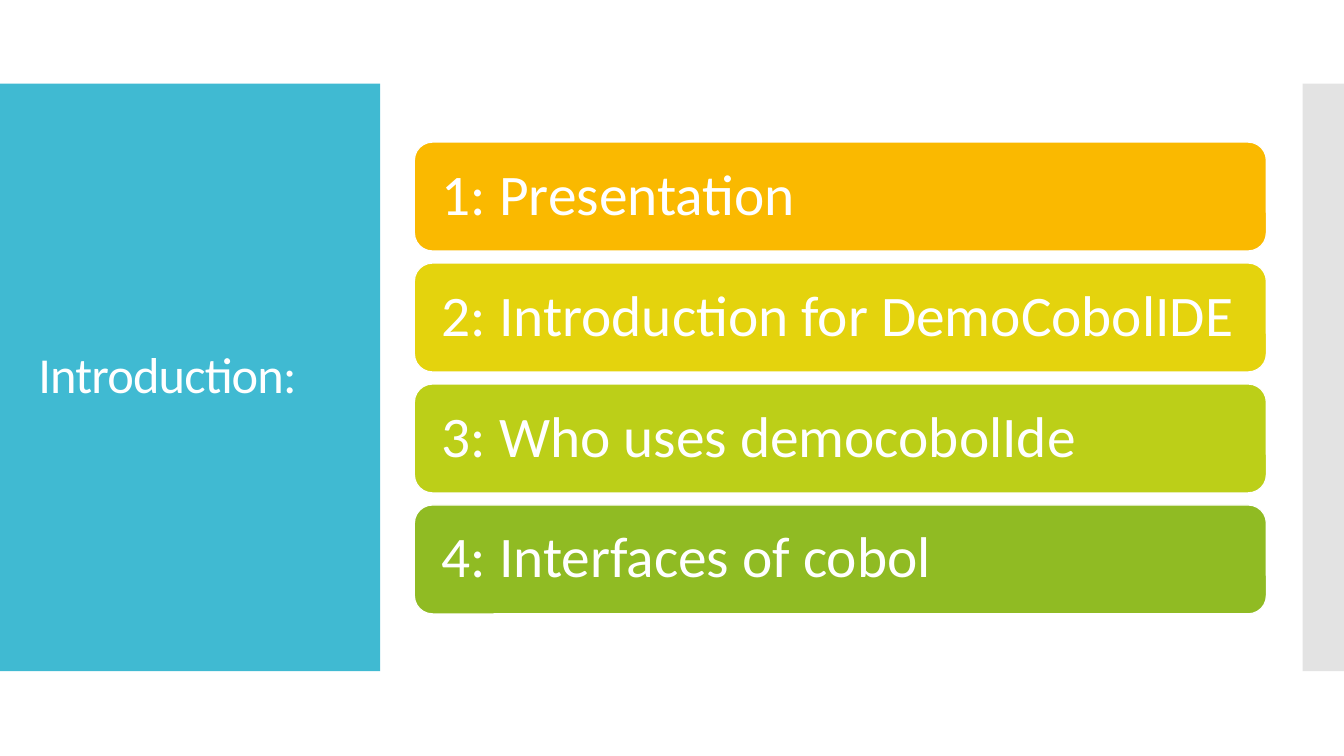
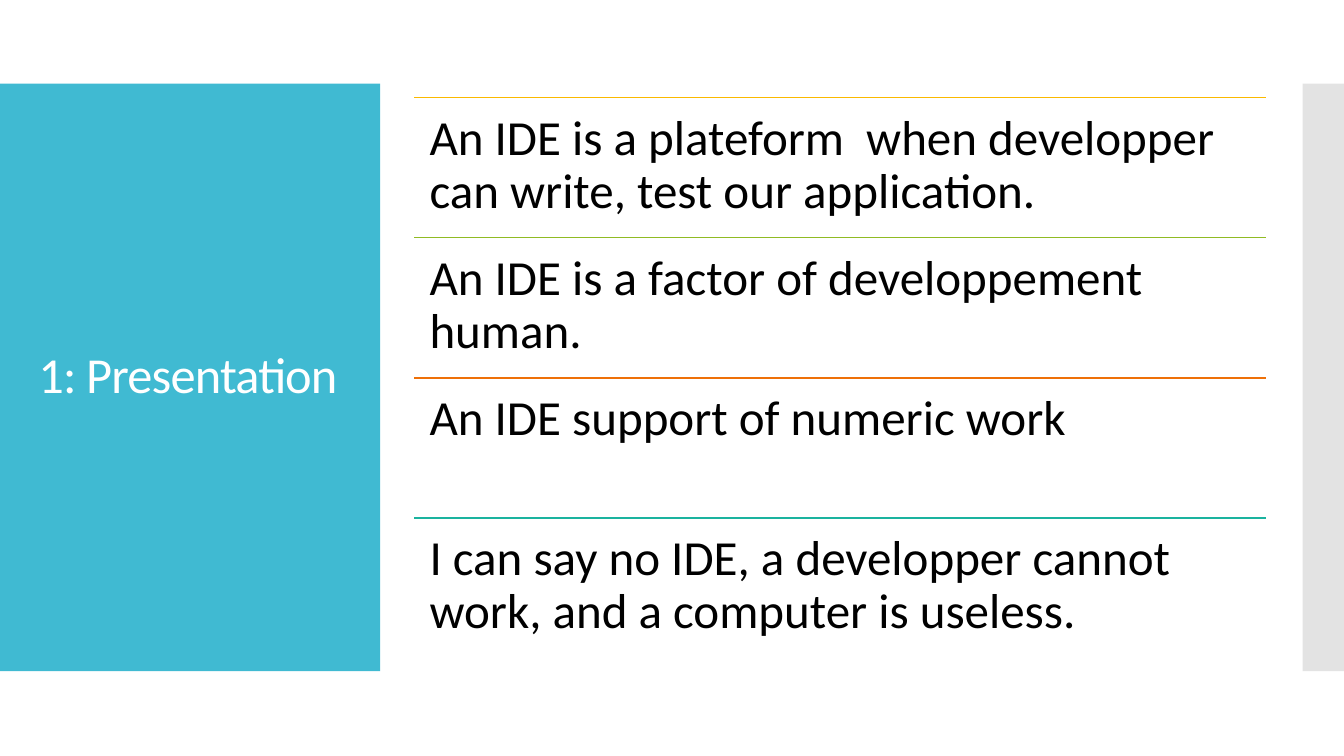
import dataclasses

import lxml.etree
import pptx
import pptx.dml.color
import pptx.enum.shapes
import pptx.enum.text
import pptx.oxml.ns
import pptx.presentation
import pptx.shapes.autoshape
import pptx.shapes.base
import pptx.slide
import pptx.text.text
import pptx.util
from pptx.util import Inches

FONT = "Calibri"
WHITE, BLACK = "FFFFFF", "000000"
TEAL, GRAY = "40BAD2", "C8C8C8"
AMBER, YELLOW, LIME, GREEN = "FAB900", "E4D30D", "BCCF18", "90BB23"
ORANGE, SEA_GREEN = "EE7008", "1AB39F"

SLIDE_WIDTH, SLIDE_HEIGHT = 13.33, 7.5
BAND_TOP, BAND_HEIGHT = 0.83, 5.83
CONTENT_LEFT, CONTENT_WIDTH = 4.11, 8.45
BAR_HEIGHT, BAR_PITCH = 1.08, 1.2
ROW_TOP, ROW_HEIGHT = 0.97, 1.39
LINE_WIDTH = pptx.util.Pt(0.85)


@dataclasses.dataclass
class Band:
    left: float
    width: float
    color: str
    opacity: int = 100


@dataclasses.dataclass
class Item:
    text: str
    color: str


BANDS = [
    Band(0, 3.77, TEAL),
    Band(12.92, SLIDE_WIDTH - 12.92, GRAY, opacity=50),
]

AGENDA = [
    Item("1: Presentation", AMBER),
    Item("2: Introduction for DemoCobolIDE", YELLOW),
    Item("3: Who uses democobolIde", LIME),
    Item("4: Interfaces of cobol", GREEN),
]

# Non-breaking spaces keep some words together on one line.
STATEMENTS = [
    Item("An IDE is a plateform  when developper can write, test our application.", AMBER),
    Item("An IDE is a factor of developpement human.", GREEN),
    Item("An IDE support of numeric work", ORANGE),
    Item("I can say no IDE, a developper cannot work, and a computer is useless.", SEA_GREEN),
]


def rgb(color: str) -> pptx.dml.color.RGBColor:
    return pptx.dml.color.RGBColor.from_string(color)


def add_filled_shape(slide: pptx.slide.Slide, preset: pptx.enum.shapes.MSO_SHAPE, left: float,
                     top: float, width: float, height: float,
                     color: str) -> pptx.shapes.autoshape.Shape:
    shape = slide.shapes.add_shape(
        preset, Inches(left), Inches(top), Inches(width), Inches(height))
    shape.shadow.inherit = False
    shape.fill.solid()
    shape.fill.fore_color.rgb = rgb(color)
    shape.line.fill.background()
    return shape


def write_text(shape: pptx.shapes.base.BaseShape, text: str, size: float, color: str,
               anchor: pptx.enum.text.MSO_ANCHOR, margin: float) -> pptx.text.text._Paragraph:
    frame = shape.text_frame
    frame.word_wrap = True
    frame.auto_size = pptx.enum.text.MSO_AUTO_SIZE.NONE
    frame.vertical_anchor = anchor
    frame.margin_left = frame.margin_right = Inches(margin)
    frame.margin_top = frame.margin_bottom = Inches(margin)
    frame.text = text
    paragraph = frame.paragraphs[0]
    paragraph.alignment = pptx.enum.text.PP_ALIGN.LEFT
    paragraph.line_spacing = 0.9
    paragraph.font.name = FONT
    paragraph.font.size = pptx.util.Pt(size)
    paragraph.font.color.rgb = rgb(color)
    return paragraph


def prepare_layout(presentation: pptx.presentation.Presentation,
                   layout: pptx.slide.SlideLayout) -> None:
    """Place the title and put the side bands behind it, once for all slides."""
    title = layout.placeholders[0]
    title.left, title.top = Inches(0.28), Inches(1.23)
    title.width, title.height = Inches(3.22), Inches(5.03)


def add_bands(slide: pptx.slide.Slide) -> None:
    """Draw the side bands and move them to the layout, so every slide shows them."""
    layout_tree = slide.slide_layout.shapes.element
    for position, band in enumerate(BANDS, start=2):
        shape = add_filled_shape(slide, pptx.enum.shapes.MSO_SHAPE.RECTANGLE, band.left,
                                 BAND_TOP, band.width, BAND_HEIGHT, band.color)
        if band.opacity < 100:
            color = shape.element.find(".//" + pptx.oxml.ns.qn("a:srgbClr"))
            alpha = lxml.etree.SubElement(color, pptx.oxml.ns.qn("a:alpha"))
            alpha.set("val", str(band.opacity * 1000))
        layout_tree.insert(position, shape.element)


def add_titled_slide(presentation: pptx.presentation.Presentation,
                     layout: pptx.slide.SlideLayout, title: str) -> pptx.slide.Slide:
    slide = presentation.slides.add_slide(layout)
    paragraph = write_text(slide.shapes.title, title, 36, WHITE,
                           pptx.enum.text.MSO_ANCHOR.MIDDLE, 0.1)
    paragraph.runs[0].font._element.set("spc", "-60")
    return slide


def add_agenda(slide: pptx.slide.Slide, items: list[Item]) -> None:
    """Stack one rounded bar per item, centred on the slide height."""
    stack_height = BAR_PITCH * (len(items) - 1) + BAR_HEIGHT
    first_top = (SLIDE_HEIGHT - stack_height) / 2
    for index, item in enumerate(items):
        bar = add_filled_shape(slide, pptx.enum.shapes.MSO_SHAPE.ROUNDED_RECTANGLE,
                               CONTENT_LEFT, first_top + index * BAR_PITCH,
                               CONTENT_WIDTH, BAR_HEIGHT, item.color)
        bar.line.color.rgb = rgb(WHITE)
        bar.line.width = LINE_WIDTH
        write_text(bar, item.text, 41, WHITE, pptx.enum.text.MSO_ANCHOR.MIDDLE, 0.22)


def add_statements(slide: pptx.slide.Slide, items: list[Item]) -> None:
    """Write one row per item, each under a coloured rule."""
    left, width = Inches(CONTENT_LEFT), Inches(CONTENT_WIDTH)
    for index, item in enumerate(items):
        top = Inches(ROW_TOP + index * ROW_HEIGHT)
        rule = slide.shapes.add_connector(
            pptx.enum.shapes.MSO_CONNECTOR.STRAIGHT, left, top, left + width, top)
        rule.line.color.rgb = rgb(item.color)
        rule.line.width = LINE_WIDTH
        lxml.etree.SubElement(rule.element.spPr, pptx.oxml.ns.qn("a:effectLst"))
        box = slide.shapes.add_textbox(left, top, width, Inches(ROW_HEIGHT))
        write_text(box, item.text, 35, BLACK, pptx.enum.text.MSO_ANCHOR.TOP, 0.15)


def main() -> None:
    presentation = pptx.Presentation()
    presentation.slide_width = Inches(SLIDE_WIDTH)
    presentation.slide_height = Inches(SLIDE_HEIGHT)
    layout = presentation.slide_layouts.get_by_name("Title Only")
    prepare_layout(presentation, layout)

    introduction = add_titled_slide(presentation, layout, "Introduction:")
    add_bands(introduction)
    add_agenda(introduction, AGENDA)

    add_statements(add_titled_slide(presentation, layout, AGENDA[0].text), STATEMENTS)
    presentation.save("out.pptx")


if __name__ == "__main__":
    main()
